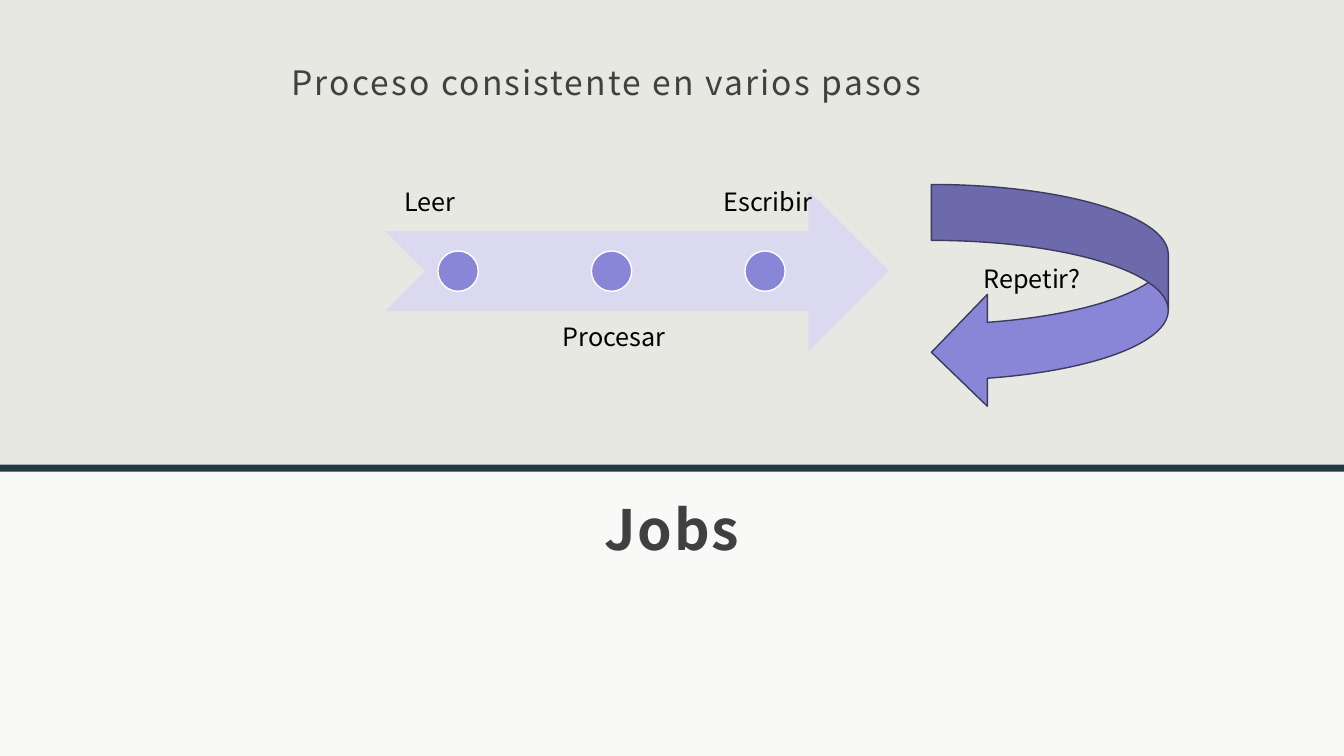
from dataclasses import dataclass

import lxml.etree
import pptx
import pptx.dml.color
import pptx.enum.shapes
import pptx.enum.text
import pptx.oxml.ns
import pptx.util

SHAPE = pptx.enum.shapes.MSO_SHAPE
ALIGN = pptx.enum.text.PP_ALIGN
ANCHOR = pptx.enum.text.MSO_ANCHOR


@dataclass(frozen=True)
class Theme:
    font: str = "Noto Sans CJK JP"
    background: str = "E8E8E2"
    panel: str = "FFFFFF"
    rule: str = "24393F"
    heading: str = "404040"
    label: str = "000000"
    arrow: str = "DAD9F0"
    accent: str = "8985D7"
    accent_line: str = "3C3A5E"
    dot_line: str = "FFFFFF"
    title_pt: float = 39.6
    subtitle_pt: float = 24
    label_pt: float = 18
    tracking_pt: float = 1.5


THEME = Theme()

# Content
TITLE = "Jobs"
SUBTITLE = "Proceso consistente en varios pasos"
LOOP = "Repetir?"
STEPS = [  # name, side of the arrow, alignment
    ("Leer", "above", ALIGN.LEFT),
    ("Procesar", "below", ALIGN.CENTER),
    ("Escribir", "above", ALIGN.CENTER),
]

# Grid: ten columns and ten rows to the inch
CELL = 0.1
COLS, ROWS = 133.33, 75
PANEL_TOP, RULE_H = 46.1, 0.7
TITLE_BOX = (22.7, 47, 87.9, 9.7)
SUBTITLE_BOX = (-0.8, 3.7, 122, 8.6)
ARROW = (38.2, 18.9, 50, 16)
LOOP_BOX = (92.4, 18.3, 23.5, 22.2)
DOT = 4
LABEL_W, LABEL_H = 14.5, 16
HEADING_INSETS = (1.2, 1.2, 1.2, 1)
LABEL_INSETS = (1.9, 1.4, 1.4, 1.4)
LOOP_INSETS = (1, 0.5, 4.5, 4.1)


def grid(cells):
    return pptx.util.Inches(cells * CELL)


def rgb(color):
    return pptx.dml.color.RGBColor.from_string(color)


def add_shape(s, kind, box, fill, line=None, alpha=None):
    sp = s.shapes.add_shape(kind, *map(grid, box))
    sp.shadow.inherit = False
    sp.fill.solid()
    sp.fill.fore_color.rgb = rgb(fill)
    if alpha:
        color = sp.fill._xPr.find(".//" + pptx.oxml.ns.qn("a:srgbClr"))
        lxml.etree.SubElement(color, pptx.oxml.ns.qn("a:alpha"), val=str(alpha * 1000))
    if line:
        sp.line.color.rgb = rgb(line)
        sp.line.width = pptx.util.Pt(1)
    else:
        sp.line.fill.background()
    return sp


def write(sp, text, size, color, insets, align=ALIGN.CENTER, anchor=ANCHOR.TOP,
          spacing=None, bold=False, tracking=0):
    tf = sp.text_frame
    tf.word_wrap = True
    tf.vertical_anchor = anchor
    tf.margin_left, tf.margin_top, tf.margin_right, tf.margin_bottom = map(grid, insets)
    p = tf.paragraphs[0]
    p.alignment = align
    p.line_spacing = spacing
    r = p.add_run()
    r.text = text
    r.font.name = THEME.font
    r.font.size = pptx.util.Pt(size)
    r.font.bold = bold
    r.font.color.rgb = rgb(color)
    if tracking:
        r.font._element.set("spc", str(round(tracking * 100)))


def add_text(s, box, *args, **kwargs):
    write(s.shapes.add_textbox(*map(grid, box)), *args, **kwargs)


def add_headings(s):
    add_shape(s, SHAPE.RECTANGLE, (0, PANEL_TOP, COLS, ROWS - PANEL_TOP),
              THEME.panel, alpha=75)
    add_shape(s, SHAPE.RECTANGLE, (0, PANEL_TOP, COLS, RULE_H), THEME.rule)
    add_text(s, TITLE_BOX, TITLE, THEME.title_pt, THEME.heading, HEADING_INSETS,
             anchor=ANCHOR.BOTTOM, spacing=1.25, bold=True, tracking=THEME.tracking_pt)
    add_text(s, SUBTITLE_BOX, SUBTITLE, THEME.subtitle_pt, THEME.heading,
             HEADING_INSETS, spacing=1.3, tracking=THEME.tracking_pt)


def add_process(s):
    """Draw the arrow with a dot per step and labels on alternate sides."""
    left, top, width, height = ARROW
    add_shape(s, SHAPE.NOTCHED_RIGHT_ARROW, ARROW, THEME.arrow)
    pitch = LABEL_W * 1.05
    middle = top + height / 2
    for i, (name, side, align) in enumerate(STEPS):
        x = left + i * pitch
        above = side == "above"
        y = middle - DOT - LABEL_H if above else middle + DOT
        add_text(s, (x, y, LABEL_W, LABEL_H), name, THEME.label_pt, THEME.label,
                 LABEL_INSETS, align=align,
                 anchor=ANCHOR.BOTTOM if above else ANCHOR.TOP,
                 spacing=0.9 if align == ALIGN.CENTER else None)
        add_shape(s, SHAPE.OVAL, (x + (LABEL_W - DOT) / 2, middle - DOT / 2, DOT, DOT),
                  THEME.accent, THEME.dot_line)


def main():
    prs = pptx.Presentation()
    prs.slide_width, prs.slide_height = grid(COLS), grid(ROWS)
    s = prs.slides.add_slide(prs.slide_layouts[6])
    s.background.fill.solid()
    s.background.fill.fore_color.rgb = rgb(THEME.background)
    add_headings(s)
    add_process(s)
    loop = add_shape(s, SHAPE.CURVED_LEFT_ARROW, LOOP_BOX, THEME.accent, THEME.accent_line)
    write(loop, LOOP, THEME.label_pt, THEME.label, LOOP_INSETS, anchor=ANCHOR.MIDDLE)
    prs.save("out.pptx")


if __name__ == "__main__":
    main()
